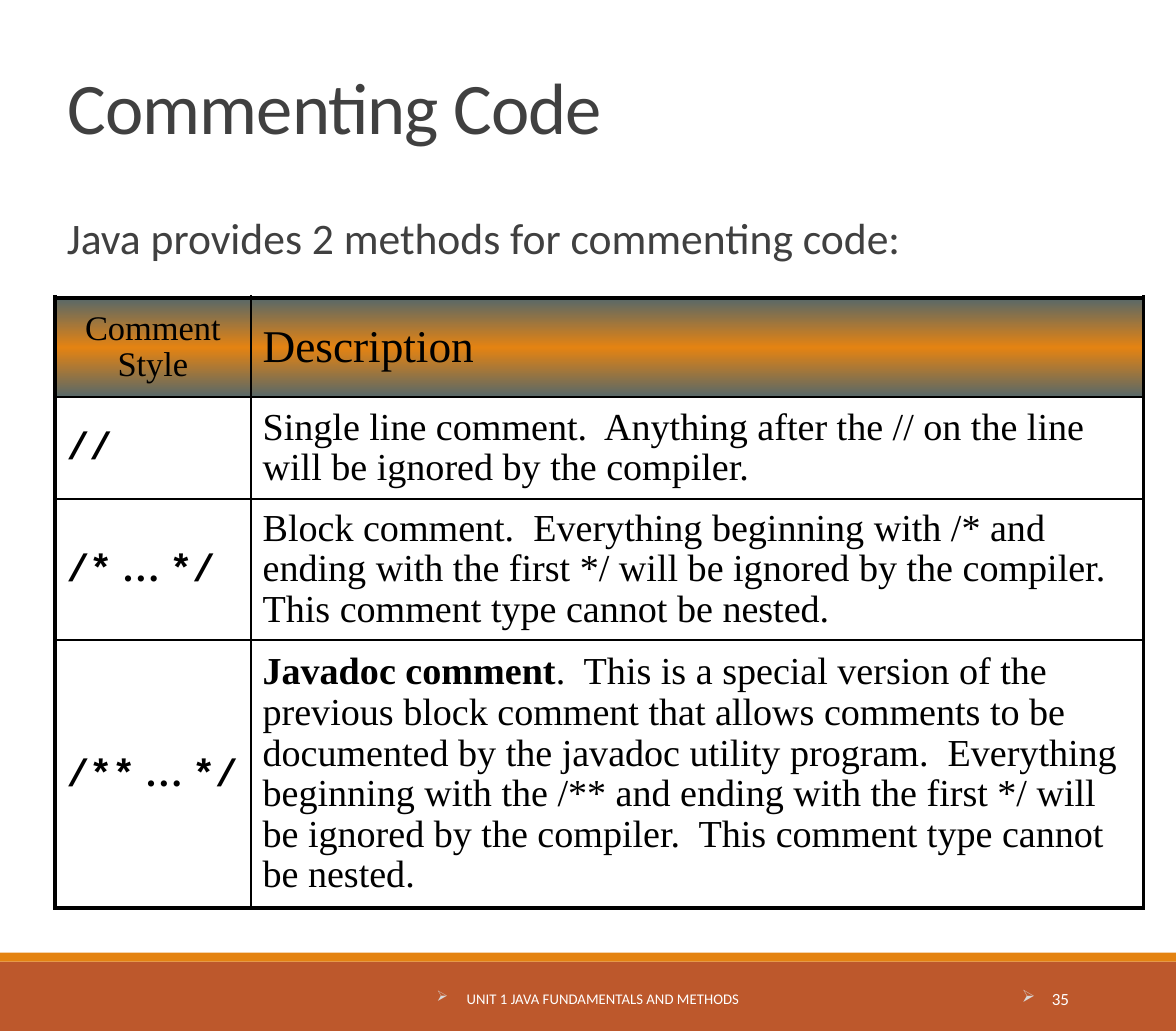
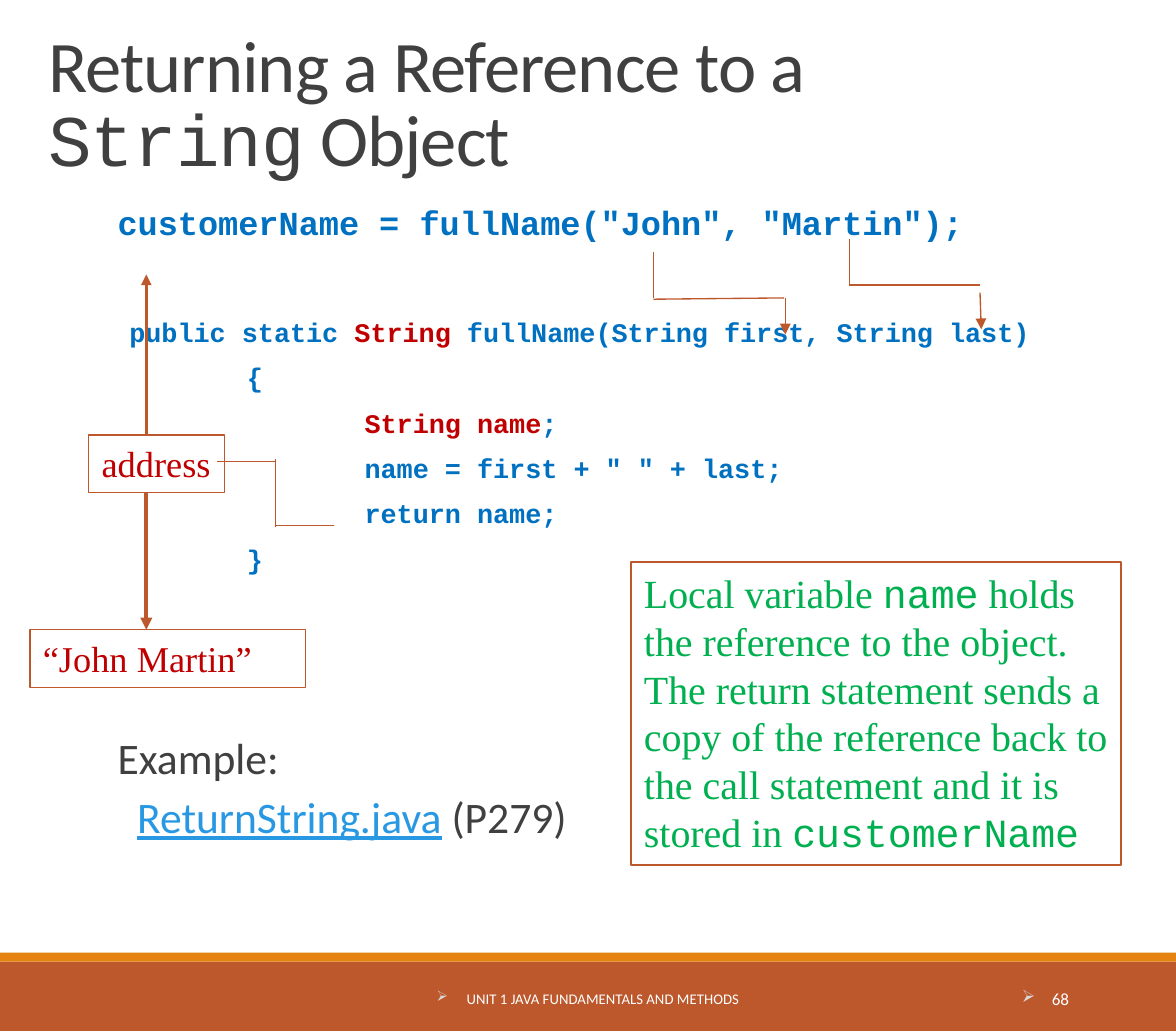
"""Build two Java lesson slides that share one title style, footer and band layout."""
from dataclasses import dataclass
from typing import NamedTuple, Optional

from lxml.etree import SubElement
from pptx import Presentation
from pptx.dml.color import RGBColor
from pptx.enum.shapes import MSO_CONNECTOR as Connector, MSO_SHAPE as Preset
from pptx.enum.text import MSO_ANCHOR as Anchor, MSO_AUTO_SIZE as AutoSize, PP_ALIGN as Align
from pptx.oxml.ns import qn
from pptx.util import Inches, Pt


@dataclass(frozen=True)
class Theme:
    """Colours, fonts and type sizes of the deck."""
    rust: str = "BD582C"
    orange: str = "E48312"
    slate: str = "576869"
    ink: str = "404040"
    black: str = "000000"
    white: str = "FFFFFF"
    pale: str = "D9D9D9"
    blue: str = "0070C0"
    red: str = "C00000"
    green: str = "00B050"
    link: str = "2998E3"
    sans: str = "Calibri"
    serif: str = "Times New Roman"
    mono: str = "Courier New"
    title_size: float = 40
    body_size: float = 24
    call_size: float = 18.5
    code_size: float = 14.8
    label_size: float = 20
    note_size: float = 22
    head_size: float = 19
    wide_head_size: float = 25
    cell_size: float = 21
    footer_size: float = 8.1
    number_size: float = 9.4


THEME = Theme()
COLUMNS, ROWS = 90, 78.9
BAND_TOP, BAND_HEIGHT = 73.6, 5.3


def cells(count: float) -> int:
    """Turn a number of grid cells, ten to the inch, into a length."""
    return Inches(count / 10)


class Frame(NamedTuple):
    """Place on the grid: column, row, columns wide and rows high."""
    column: float
    row: float
    width: float
    height: float

    def lengths(self) -> tuple[int, ...]:
        return tuple(cells(value) for value in self)


class Style(NamedTuple):
    """Look of a run of text."""
    size: float
    font: str = THEME.sans
    color: str = THEME.ink
    bold: bool = False
    underline: bool = False
    spacing: float = 0


class Piece(NamedTuple):
    """Run of text with its style."""
    text: str
    style: Style


class Line(NamedTuple):
    """Body paragraph: its runs, left margin in cells and space before."""
    pieces: list[Piece]
    margin: float = 0
    before: float = 10.8
    bullet: Optional[str] = None


class Stroke(NamedTuple):
    """Straight line between two grid points."""
    start: tuple[float, float]
    end: tuple[float, float]
    width: float = 0.75
    arrow: bool = False


class Box(NamedTuple):
    """Outlined label with its runs."""
    frame: Frame
    pieces: list[Piece]
    wrap: bool = True


TITLE = Style(THEME.title_size, spacing=-0.5)
BODY = Style(THEME.body_size)
CALL = Style(THEME.call_size, THEME.mono, THEME.blue, True)
CODE = CALL._replace(size=THEME.code_size)
TYPE = CODE._replace(color=THEME.red)
LABEL = Style(THEME.label_size, THEME.serif, THEME.red)
NOTE = Style(THEME.note_size, THEME.serif, THEME.green)
NOTE_CODE = NOTE._replace(font=THEME.mono)
CELL = Style(THEME.cell_size, THEME.serif, THEME.black)
CELL_BOLD = CELL._replace(bold=True)
CELL_CODE = CELL_BOLD._replace(font=THEME.mono)
HEAD = CELL._replace(size=THEME.head_size)
FOOTER = Style(THEME.footer_size, color=THEME.white)


def write(paragraph, pieces: list[Piece]) -> None:
    """Add styled runs; a piece that is a newline becomes a line break."""
    for text, style in pieces:
        if text == "\n":
            paragraph.add_line_break()
            continue
        run = paragraph.add_run()
        run.text = text
        font = run.font
        font.name, font.size = style.font, Pt(style.size)
        font.bold, font.underline = style.bold, style.underline
        font.color.rgb = RGBColor.from_string(style.color)
        if style.spacing:
            font._element.set("spc", str(round(style.spacing * 100)))


def set_bullet(paragraph, character: Optional[str], margin: float, hanging: float, color: str) -> None:
    """Set left margin, hanging indent and bullet, both lengths in cells."""
    properties = paragraph._p.get_or_add_pPr()
    properties.set("marL", str(cells(margin)))
    properties.set("indent", str(-cells(hanging)))
    if character is None:
        SubElement(properties, qn("a:buNone"))
        return
    SubElement(SubElement(properties, qn("a:buClr")), qn("a:srgbClr"), val=color)
    SubElement(properties, qn("a:buChar"), char=character)


def place(shape, frame: Frame) -> None:
    """Move a shape to its place on the grid."""
    shape.left, shape.top, shape.width, shape.height = frame.lengths()


def fill_title(slide, frame: Frame, pieces: list[Piece]) -> None:
    """Place and write the title placeholder."""
    title = slide.shapes.title
    place(title, frame)
    text_frame = title.text_frame
    text_frame.auto_size, text_frame.word_wrap = AutoSize.NONE, True
    text_frame.vertical_anchor = Anchor.BOTTOM
    paragraph = text_frame.paragraphs[0]
    paragraph.alignment, paragraph.line_spacing = Align.LEFT, 0.85
    write(paragraph, pieces)


def fill_body(slide, frame: Frame, lines: list[Line], spacing: float) -> None:
    """Place and write the body placeholder."""
    body = slide.placeholders[1]
    place(body, frame)
    text_frame = body.text_frame
    text_frame.auto_size, text_frame.word_wrap = AutoSize.NONE, True
    text_frame.margin_left = text_frame.margin_right = 0
    text_frame.vertical_anchor = Anchor.TOP
    for index, line in enumerate(lines):
        paragraph = text_frame.add_paragraph() if index else text_frame.paragraphs[0]
        paragraph.line_spacing = spacing
        paragraph.space_before, paragraph.space_after = Pt(line.before), Pt(1.8)
        set_bullet(paragraph, line.bullet, line.margin, line.margin if line.bullet else 0, THEME.orange)
        write(paragraph, line.pieces)


def add_footer(slide, number: str) -> None:
    """Write the unit name and the slide number on the band."""
    entries = (
        (Frame(27.2, 74.3, 35.6, 4.2), Align.CENTER, Piece("UNIT 1 JAVA FUNDAMENTALS AND METHODS", FOOTER)),
        (Frame(73.1, 74.3, 9.7, 4.2), Align.RIGHT, Piece(number, FOOTER._replace(size=THEME.number_size))),
    )
    for frame, alignment, piece in entries:
        text_frame = slide.shapes.add_textbox(*frame.lengths()).text_frame
        text_frame.word_wrap, text_frame.vertical_anchor = True, Anchor.MIDDLE
        paragraph = text_frame.paragraphs[0]
        paragraph.alignment = alignment
        set_bullet(paragraph, "➢", 2.3, 2.3, THEME.pale)
        write(paragraph, [piece])


def add_bands(slide) -> None:
    """Draw the two bottom bands and hand them to the slide's layout."""
    layout = slide.slide_layout
    for placeholder in list(layout.placeholders):
        if placeholder.placeholder_format.idx >= 10:
            placeholder.element.getparent().remove(placeholder.element)
    bands = []
    for top, height, color in ((BAND_TOP, BAND_HEIGHT, THEME.rust), (BAND_TOP - 0.7, 0.7, THEME.orange)):
        band = slide.shapes.add_shape(Preset.RECTANGLE, *Frame(0, top, COLUMNS, height).lengths())
        band.shadow.inherit = False
        band.fill.solid()
        band.fill.fore_color.rgb = RGBColor.from_string(color)
        band.line.fill.background()
        bands.append(band)
    for offset, band in enumerate(bands):
        layout.shapes.element.insert(2 + offset, band.element)


def add_box(slide, box: Box) -> None:
    """Draw an outlined label."""
    shape = slide.shapes.add_shape(Preset.RECTANGLE, *box.frame.lengths())
    shape.shadow.inherit = False
    shape.fill.background()
    shape.line.color.rgb = RGBColor.from_string(THEME.rust)
    shape.line.width = Pt(0.75)
    text_frame = shape.text_frame
    text_frame.word_wrap, text_frame.auto_size = box.wrap, AutoSize.SHAPE_TO_FIT_TEXT
    text_frame.vertical_anchor = Anchor.TOP
    paragraph = text_frame.paragraphs[0]
    paragraph.alignment = Align.LEFT
    write(paragraph, box.pieces)


def add_stroke(slide, stroke: Stroke) -> None:
    """Draw a straight line, with an arrowhead at its end if asked."""
    points = [cells(value) for value in (*stroke.start, *stroke.end)]
    connector = slide.shapes.add_connector(Connector.STRAIGHT, *points)
    connector.line.color.rgb = RGBColor.from_string(THEME.rust)
    connector.line.width = Pt(stroke.width)
    properties = connector.element.spPr
    if stroke.arrow:
        SubElement(properties.find(qn("a:ln")), qn("a:tailEnd"), type="triangle")
    SubElement(properties, qn("a:effectLst"))


def set_borders(cell, widths: dict[str, float]) -> None:
    """Draw black borders, given by side letter and width in points."""
    properties = cell._tc.get_or_add_tcPr()
    for side, width in widths.items():
        border = SubElement(properties, qn(f"a:ln{side}"), w=str(Pt(width)))
        SubElement(SubElement(border, qn("a:solidFill")), qn("a:srgbClr"), val=THEME.black)


def fill_gradient(cell) -> None:
    """Fill a heading cell from slate through orange to slate."""
    gradient = SubElement(cell._tc.get_or_add_tcPr(), qn("a:gradFill"), rotWithShape="1")
    stops = SubElement(gradient, qn("a:gsLst"))
    for percent, color in ((0, THEME.slate), (50, THEME.orange), (100, THEME.slate)):
        stop = SubElement(stops, qn("a:gs"), pos=str(percent * 1000))
        SubElement(stop, qn("a:srgbClr"), val=color)
    SubElement(gradient, qn("a:lin"), ang="5400000", scaled="1")


def add_comment_table(slide, rows: list[list[list[Piece]]]) -> None:
    """Draw the table of comment styles."""
    widths, heights = (15, 68.3), (7.6, 7.8, 10.8, 20.5)
    frame = Frame(4.2, 22.8, sum(widths), sum(heights))
    table = slide.shapes.add_table(len(heights), len(widths), *frame.lengths()).table
    table.first_row = table.horz_banding = False
    for column, width in zip(table.columns, widths):
        column.width = cells(width)
    for row_index, (row, height) in enumerate(zip(table.rows, heights)):
        row.height = cells(height)
        for column_index, cell in enumerate(row.cells):
            set_borders(cell, {
                "L": 1 if column_index else 2.25,
                "R": 2.25 if column_index == len(widths) - 1 else 1,
                "T": 1 if row_index else 3,
                "B": 2.25 if row_index == len(heights) - 1 else 1,
            })
            if row_index:
                cell.fill.background()
            else:
                fill_gradient(cell)
            cell.vertical_anchor = Anchor.MIDDLE
            cell.margin_left = cell.margin_right = cells(0.9)
            paragraph = cell.text_frame.paragraphs[0]
            paragraph.line_spacing = 0.96
            paragraph.alignment = Align.LEFT if row_index or column_index else Align.CENTER
            write(paragraph, rows[row_index][column_index])


def build_commenting(slide) -> None:
    """Build the slide on comment styles."""
    fill_title(slide, Frame(4.2, 4.5, 81, 7.4), [Piece("Commenting Code", TITLE)])
    intro = Line([Piece("Java provides 2 methods for commenting code:", BODY)], 0.9, bullet=" ")
    fill_body(slide, Frame(4.2, 16.1, 85.8, 6.7), [intro], 0.9)
    dots, close = Piece(" … ", CELL_BOLD), Piece("*/", CELL_CODE)
    add_comment_table(slide, [
        [[Piece("Comment", HEAD), Piece("\n", HEAD), Piece("Style", HEAD)],
         [Piece("Description", CELL._replace(size=THEME.wide_head_size))]],
        [[Piece("//", CELL_CODE)],
         [Piece("Single line comment.  Anything after the // on the line will be ignored by the compiler.", CELL)]],
        [[Piece("/*", CELL_CODE), dots, close],
         [Piece("Block comment.  Everything beginning with /* and ending with the first */ will be ignored "
                "by the compiler.  This comment type cannot be nested.", CELL)]],
        [[Piece("/**", CELL_CODE), dots, close],
         [Piece("Javadoc comment", CELL_BOLD),
          Piece(".  This is a special version of the previous block comment that allows comments to be "
                "documented by the javadoc utility program.  Everything beginning with the /** and ending "
                "with the first */ will be ignored by the compiler.  This comment type cannot be nested.", CELL)]],
    ])


def build_returning(slide) -> None:
    """Build the slide on returning a reference."""
    fill_title(slide, Frame(2.7, 1.2, 76.5, 13.2), [
        Piece("Returning a Reference to a ", TITLE), Piece("String", TITLE._replace(font=THEME.mono)),
        Piece(" Object", TITLE)])
    outer, brace, inner = (0.9 + 9 * level for level in range(3))
    fill_body(slide, Frame(9, 15.8, 81, 54.4), [
        Line([Piece('customerName = fullName("John", "Martin");', CALL)]),
        Line([Piece("public static ", CODE), Piece("String ", TYPE),
              Piece("fullName(String first, String last)", CODE)], outer, 43.9),
        Line([Piece("{", CODE)], brace),
        Line([Piece("String name", TYPE), Piece(";", CODE)], inner),
        Line([Piece('name = first + " " + last;', CODE)], inner),
        Line([Piece("return name;", CODE)], inner),
        Line([Piece("}", CODE)], brace),
        Line([Piece("Example:", BODY)], before=92.6),
        Line([Piece("ReturnString.java", BODY._replace(color=THEME.link, underline=True)),
              Piece(" (P279)", BODY)], 1.5),
    ], 0.7)
    for box in (
        Box(Frame(6.8, 33.3, 10.4, 4.4), [Piece("address", LABEL)], False),
        Box(Frame(2.3, 48.2, 21.1, 4.4), [Piece("“John Martin”", LABEL)]),
        Box(Frame(48.3, 43, 37.5, 23.2), [
            Piece("Local variable ", NOTE), Piece("name", NOTE_CODE),
            Piece(" holds the reference to the object.  The return statement sends a copy of the reference "
                  "back to the call statement and it is stored in ", NOTE),
            Piece("customerName", NOTE_CODE)]),
    ):
        add_box(slide, box)
    for stroke in (
        Stroke((11.2, 37.7), (11.2, 48.2), 2.25, True), Stroke((11.2, 33.3), (11.2, 21), 1.5, True),
        Stroke((50, 19.3), (50, 22.8)), Stroke((50, 22.9), (60, 22.8)),
        Stroke((60.1, 22.8), (60.1, 25.6), arrow=True),
        Stroke((25.6, 40.2), (21.1, 40.2)), Stroke((21.1, 40.3), (21.1, 35.1)),
        Stroke((21.1, 35.3), (16.6, 35.3)),
        Stroke((65, 18.3), (65, 21.8)), Stroke((65, 21.8), (75, 21.8)),
        Stroke((75, 22.4), (75.1, 25.2), arrow=True),
    ):
        add_stroke(slide, stroke)


def main() -> None:
    """Build and save the presentation."""
    presentation = Presentation()
    presentation.slide_width, presentation.slide_height = cells(COLUMNS), cells(ROWS)
    layout = presentation.slide_layouts[1]
    for index, (build, number) in enumerate(((build_commenting, "35"), (build_returning, "68"))):
        slide = presentation.slides.add_slide(layout)
        if index == 0:
            add_bands(slide)
        build(slide)
        add_footer(slide, number)
    presentation.save("out.pptx")


if __name__ == "__main__":
    main()
